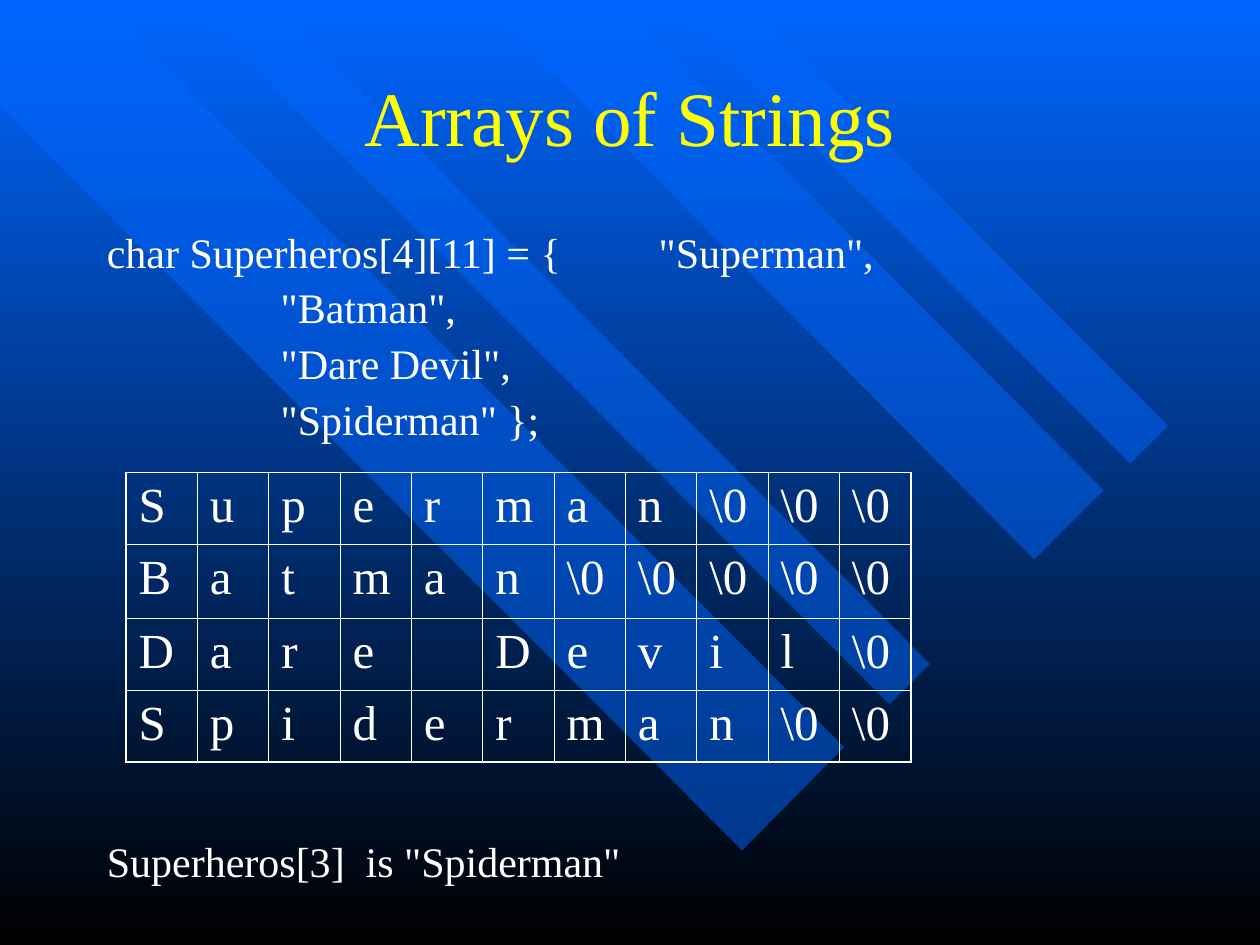
from dataclasses import dataclass

from lxml import etree
from pptx import Presentation
from pptx.dml.color import RGBColor
from pptx.enum.text import MSO_ANCHOR, MSO_AUTO_SIZE, PP_ALIGN
from pptx.oxml.ns import qn
from pptx.util import Inches, Pt

CENTER = PP_ALIGN.CENTER
MIDDLE = MSO_ANCHOR.MIDDLE
TOP = MSO_ANCHOR.TOP
FIT_SHAPE = MSO_AUTO_SIZE.SHAPE_TO_FIT_TEXT
NO_FIT = MSO_AUTO_SIZE.NONE
TITLE_ONLY = 5


@dataclass(frozen=True)
class Theme:
    font: str = "Times New Roman"
    blue: RGBColor = RGBColor(0x00, 0x66, 0xFF)
    black: RGBColor = RGBColor(0x00, 0x00, 0x00)
    yellow: RGBColor = RGBColor(0xFF, 0xFF, 0x00)
    white: RGBColor = RGBColor(0xFF, 0xFF, 0xFF)
    title_size: int = 44
    body_size: int = 24
    cell_size: int = 28
    outer_line: float = 1.08
    inner_line: float = 0.45


@dataclass(frozen=True)
class Box:
    left: float
    top: float
    width: float
    height: float


THEME = Theme()
TITLE_BOX = Box(0.75, 0.25, 8.5, 1.33)
CODE_BOX = Box(0.75, 1.79, 8.5, 1.87)
TABLE_BOX = Box(1, 3.75, 6.23, 2.3)
NOTE_BOX = Box(0.75, 6.58, 6.83, 0.5)

STRIPES = (
    ((6.7, 5.93), (0.79, 0), (0, 0), (0, 0.84), (5.89, 6.75)),
    ((2.14, 0), (7.38, 5.27), (7.06, 5.59), (1.49, 0)),
    ((4.89, 0), (8.76, 3.89), (8.21, 4.44), (3.8, 0)),
    ((5.3, 0), (8.97, 3.68), (9.27, 3.38), (5.91, 0)),
)
HEROES = ("Superman", "Batman", "Dare Devil", "Spiderman")
ROW_HEIGHTS = (0.57, 0.59, 0.57, 0.57)
STRING_LENGTH = 11
HANGING_INDENT = 0.38
TAB_STOPS = (0, 1, 2, 3, 4)


def place(shape, box: Box) -> None:
    shape.left, shape.top = Inches(box.left), Inches(box.top)
    shape.width, shape.height = Inches(box.width), Inches(box.height)


def format_runs(paragraph, size: int, color: RGBColor) -> None:
    for run in paragraph.runs:
        run.font.name = THEME.font
        run.font.size = Pt(size)
        run.font.color.rgb = color


def paint_background(slide) -> None:
    fill = slide.background.fill
    fill.gradient()
    fill.gradient_angle = 270
    for stop, color in zip(fill.gradient_stops, (THEME.blue, THEME.black)):
        stop.color.rgb = color


def add_stripe(slide, points) -> None:
    corners = [(Inches(x), Inches(y)) for x, y in points]
    builder = slide.shapes.build_freeform(*corners[0])
    builder.add_line_segments(corners[1:])
    stripe = builder.convert_to_shape()
    stripe.shadow.inherit = False
    stripe.line.fill.background()
    stripe.fill.solid()
    stripe.fill.fore_color.rgb = THEME.blue
    color = stripe.element.spPr.find(f"{qn('a:solidFill')}/{qn('a:srgbClr')}")
    etree.SubElement(color, qn("a:alpha"), val="50000")


def format_title(slide, text: str) -> None:
    """Fill the title and bring it in front of the stripes."""
    title = slide.shapes.title
    place(title, TITLE_BOX)
    title.text_frame.text = text
    title.text_frame.vertical_anchor = MIDDLE
    title.text_frame.auto_size = NO_FIT
    paragraph = title.text_frame.paragraphs[0]
    paragraph.alignment = CENTER
    format_runs(paragraph, THEME.title_size, THEME.yellow)
    title.element.getparent().append(title.element)


def add_text(slide, box: Box, text: str, space_before: int):
    shape = slide.shapes.add_textbox(0, 0, 0, 0)
    place(shape, box)
    frame = shape.text_frame
    frame.word_wrap = True
    frame.vertical_anchor = TOP
    frame.text = text
    for paragraph in frame.paragraphs:
        paragraph.space_before = Pt(space_before)
        format_runs(paragraph, THEME.body_size, THEME.white)
    return frame


def set_code_indent(paragraph) -> None:
    """Give a code line its hanging indent and tab stops."""
    paragraph.line_spacing = 0.9
    properties = paragraph._p.get_or_add_pPr()
    properties.set("marL", str(Inches(HANGING_INDENT)))
    properties.set("indent", str(-Inches(HANGING_INDENT)))
    properties.set("defTabSz", str(Inches(1)))
    tab_list = etree.SubElement(properties, qn("a:tabLst"))
    for position in TAB_STOPS:
        etree.SubElement(tab_list, qn("a:tab"), pos=str(Inches(position)), algn="l")


def add_declaration(slide) -> None:
    first, *middle, last = (f'"{hero}"' for hero in HEROES)
    lines = [f"char Superheros[{len(HEROES)}][{STRING_LENGTH}] = {{\t{first},"]
    lines += [f"\t\t{hero}," for hero in middle]
    lines.append(f"\t\t{last} }};")
    frame = add_text(slide, CODE_BOX, "\n".join(lines), 6)
    for paragraph in frame.paragraphs:
        set_code_indent(paragraph)


def set_borders(cell, row: int, column: int) -> None:
    """Draw heavier lines along the outside of the table."""
    outer_sides = {
        "lnL": column == 0,
        "lnR": column == STRING_LENGTH - 1,
        "lnT": row == 0,
        "lnB": row == len(HEROES) - 1,
    }
    properties = cell._tc.get_or_add_tcPr()
    for side, is_outer in outer_sides.items():
        width = Pt(THEME.outer_line if is_outer else THEME.inner_line)
        line = etree.SubElement(properties, qn(f"a:{side}"), w=str(width))
        fill = etree.SubElement(line, qn("a:solidFill"))
        etree.SubElement(fill, qn("a:srgbClr"), val=str(THEME.white))


def add_character_table(slide) -> None:
    shape = slide.shapes.add_table(len(HEROES), STRING_LENGTH, 0, 0, 0, 0)
    place(shape, TABLE_BOX)
    table = shape.table
    table.first_row = table.horz_banding = False
    for column in table.columns:
        column.width = Inches(TABLE_BOX.width / STRING_LENGTH)
    for row, (hero, height) in enumerate(zip(HEROES, ROW_HEIGHTS)):
        table.rows[row].height = Inches(height)
        characters = list(hero) + [r"\0"] * (STRING_LENGTH - len(hero))
        for column, character in enumerate(characters):
            cell = table.cell(row, column)
            cell.text_frame.text = character.strip()
            paragraph = cell.text_frame.paragraphs[0]
            paragraph.space_before = Pt(7)
            format_runs(paragraph, THEME.cell_size, THEME.white)
            set_borders(cell, row, column)
            cell.fill.background()


def main() -> None:
    presentation = Presentation()
    presentation.slide_width, presentation.slide_height = Inches(10), Inches(7.5)
    slide = presentation.slides.add_slide(presentation.slide_layouts[TITLE_ONLY])
    paint_background(slide)
    for points in STRIPES:
        add_stripe(slide, points)
    format_title(slide, "Arrays of Strings")
    add_declaration(slide)
    add_character_table(slide)
    note = add_text(slide, NOTE_BOX, f'Superheros[3]  is "{HEROES[3]}"', 15)
    note.auto_size = FIT_SHAPE
    presentation.save("out.pptx")


if __name__ == "__main__":
    main()
